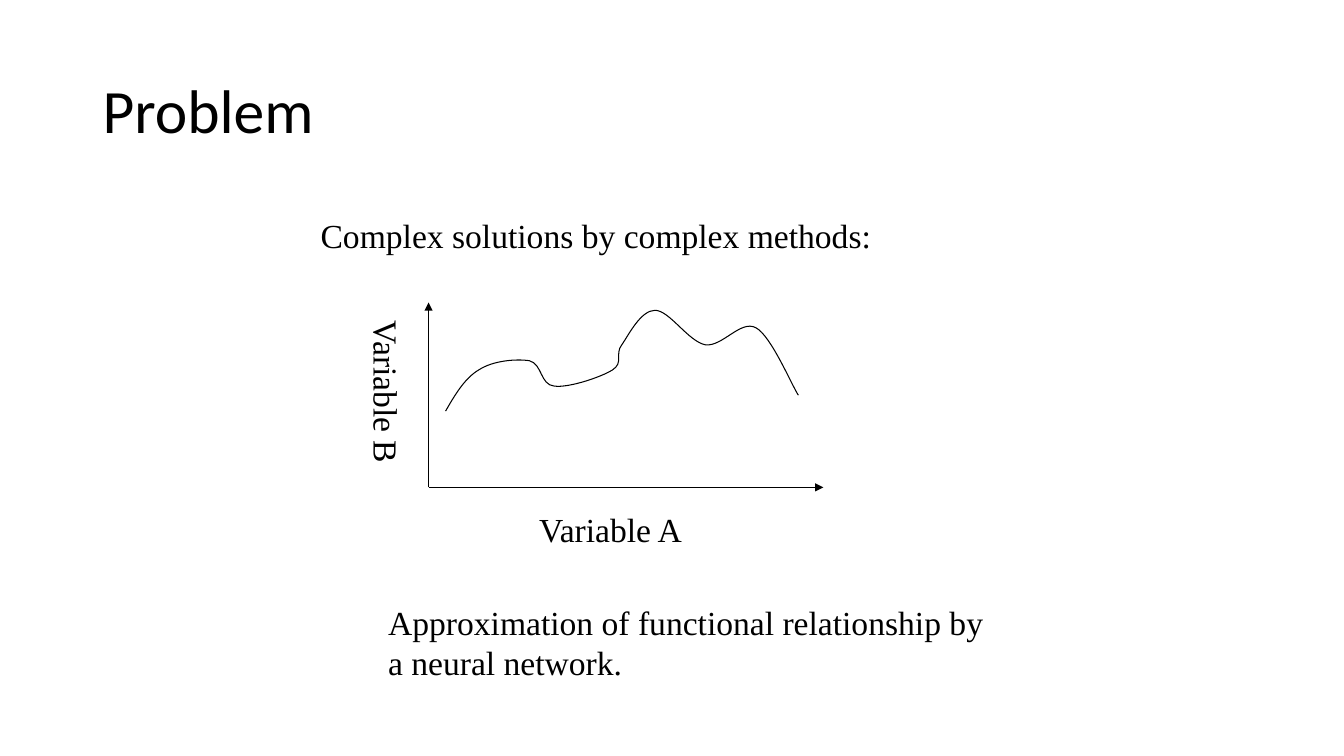
"""Build the slide on approximating a complex functional relationship."""
import lxml.etree
import pptx
import pptx.dml.color
import pptx.enum.shapes
import pptx.enum.text
import pptx.oxml.ns
import pptx.util

Cm, Pt, qn = pptx.util.Cm, pptx.util.Pt, pptx.oxml.ns.qn
ALIGN = pptx.enum.text.PP_ALIGN
ANCHOR = pptx.enum.text.MSO_ANCHOR
BLACK = pptx.dml.color.RGBColor(0, 0, 0)


def write(frame, text, font="Times New Roman", size=24, align=ALIGN.LEFT,
          anchor=ANCHOR.TOP, spacing=1.0):
    """Fill a text frame with one formatted paragraph."""
    frame.word_wrap = True
    frame.vertical_anchor = anchor
    paragraph = frame.paragraphs[0]
    paragraph.alignment = align
    paragraph.line_spacing = spacing
    run = paragraph.add_run()
    run.text = text
    run.font.name = font
    run.font.size = Pt(size)
    run.font.color.rgb = BLACK


deck = pptx.Presentation()
deck.slide_width, deck.slide_height = Cm(33.87), Cm(19.05)
slide = deck.slides.add_slide(deck.slide_layouts[5])
shapes = slide.shapes

title = shapes.title
title.left, title.top, title.width, title.height = Cm(2.33), Cm(1.01), Cm(29.21), Cm(3.68)
write(title.text_frame, "Problem", font="Calibri", size=44, anchor=ANCHOR.MIDDLE, spacing=0.9)

statements = [
    ("Complex solutions by complex methods:", 7.83, 5.29, 20.32, 1.27),
    ("Variable A", 13.34, 12.7, 5.93, 1.27),
    ("Approximation of functional relationship by a neural network.", 9.53, 15.03, 15.66, 2.31),
]
for text, left, top, width, height in statements:
    statement = shapes.add_textbox(Cm(left), Cm(top), Cm(width), Cm(height))
    write(statement.text_frame, text)

variable_b = shapes.add_textbox(Cm(8.84), Cm(7.83), Cm(1.55), Cm(4.24))
write(variable_b.text_frame, "Variable B", align=ALIGN.CENTER)
variable_b.text_frame._txBody.bodyPr.set("vert", "eaVert")

origin_x, origin_y = Cm(10.8), Cm(12.28)
for end_x, end_y in [(Cm(20.75), origin_y), (origin_x, Cm(7.62))]:
    axis = shapes.add_connector(pptx.enum.shapes.MSO_CONNECTOR.STRAIGHT,
                                origin_x, origin_y, end_x, end_y)
    axis.line.color.rgb = BLACK
    axis.line.width = Pt(0.75)
    lxml.etree.SubElement(axis.line._get_or_add_ln(), qn("a:tailEnd"), type="triangle")
    lxml.etree.SubElement(axis._element.spPr, qn("a:effectLst"))

curve_start = (11.23, 10.36)
curve_bends = [
    (11.46, 9.96), (11.71, 9.53), (12.07, 9.32),
    (12.42, 9.09), (13.0, 9.04), (13.34, 9.09),
    (13.67, 9.17), (13.61, 9.7), (13.97, 9.73),
    (14.33, 9.78), (15.16, 9.5), (15.44, 9.32),
    (15.72, 9.14), (15.49, 8.92), (15.67, 8.69),
    (15.85, 8.43), (16.15, 7.82), (16.51, 7.82),
    (16.87, 7.82), (17.35, 8.61), (17.78, 8.69),
    (18.21, 8.74), (18.67, 8.05), (19.05, 8.26),
    (19.43, 8.46), (19.94, 9.68), (20.12, 9.96),
]
builder = shapes.build_freeform(Cm(curve_start[0]), Cm(curve_start[1]))
builder.add_line_segments([(Cm(x), Cm(y)) for x, y in curve_bends], close=False)
curve = builder.convert_to_shape()
curve.shadow.inherit = False
curve.fill.background()
curve.line.color.rgb = BLACK
curve.line.width = Pt(0.75)

segments = list(curve._element.iter(qn("a:lnTo")))
outline = segments[0].getparent()
for first in range(0, len(segments), 3):
    bend = lxml.etree.SubElement(outline, qn("a:cubicBezTo"))
    for segment in segments[first:first + 3]:
        bend.append(segment[0])
        outline.remove(segment)

deck.save("out.pptx")
